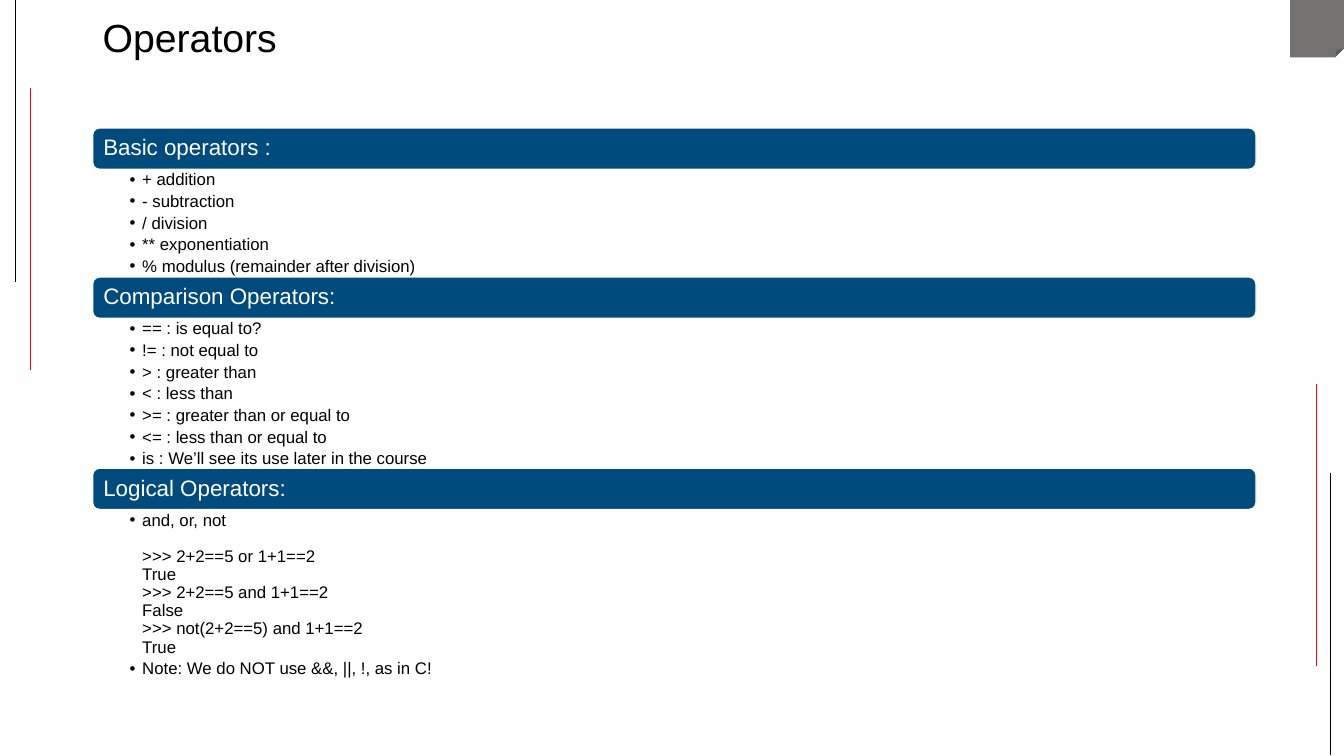
from dataclasses import dataclass
from typing import Any

from lxml.etree import SubElement as Sub
from pptx import Presentation
from pptx.dml.color import RGBColor as RGB
from pptx.enum.shapes import MSO_CONNECTOR as Link, MSO_SHAPE as Form
from pptx.enum.text import MSO_ANCHOR as Anchor, MSO_AUTO_SIZE as Fit, PP_ALIGN as Align
from pptx.oxml.ns import qn
from pptx.util import Pt

HUES = {"black": "000000", "red": "FF0000", "white": "FFFFFF", "navy": "004B7E", "gray": "767171"}
LEFT, WIDE, TOP, BAR = 66.2, 831, 91.4, 29.5
FRAME = {"word_wrap": True, "auto_size": Fit.NONE}
PARA = {"line_spacing": 0.9, "space_before": Pt(0), "alignment": Align.LEFT}
FONT = {"name": "Arial", "bold": False}


@dataclass
class Part:
    head: str
    slot: int
    high: float
    items: list[str]


@dataclass
class Rule:
    x: float
    start: float
    end: float
    hue: str


PARTS = [
    Part("Basic operators :", 2, 77, [
        "+ addition", "- subtraction", "/ division", "** exponentiation",
        "% modulus (remainder after division)"]),
    Part("Comparison Operators:", 3, 107, [
        "== : is equal to?", "!= : not equal to", "> : greater than", "< : less than",
        ">= : greater than or equal to", "<= : less than or equal to",
        "is : We’ll see its use later in the course"]),
    Part("Logical Operators:", 4, 120, [
        "\v".join(["and, or, not", "", ">>> 2+2==5 or 1+1==2", "True",
                   ">>> 2+2==5 and 1+1==2", "False",
                   ">>> not(2+2==5) and 1+1==2", "True"]),
        "Note: We do NOT use &&, ||, !, as in C!"]),
]
RULES = [
    Rule(11.2, 0, 201.6, "black"),
    Rule(21.6, 62.6, 264.2, "red"),
    Rule(950.4, 539.3, 337.7, "black"),
    Rule(940.3, 475.9, 274.3, "red"),
]


def tint(name: str) -> RGB:
    return RGB.from_string(HUES[name])


def apply(obj: Any, form: dict[str, Any]) -> None:
    for key, value in form.items():
        setattr(obj, key, value)


def place(shape: Any, x: float, y: float, w: float, h: float) -> None:
    apply(shape, {"left": Pt(x), "top": Pt(y), "width": Pt(w), "height": Pt(h)})


def write(shape: Any, lines: list[str], size: float, hue: str, after: float,
          anchor: Anchor, inset: tuple[float, float, float, float]) -> None:
    frame = shape.text_frame
    frame.text = lines[0]
    for line in lines[1:]:
        frame.add_paragraph().text = line
    sides = ("left", "top", "right", "bottom")
    edges = {f"margin_{side}": Pt(gap) for side, gap in zip(sides, inset)}
    apply(frame, FRAME | edges | {"vertical_anchor": anchor})
    for para in frame.paragraphs:
        apply(para, PARA | {"space_after": Pt(after)})
        for run in para.runs:
            apply(run.font, FONT | {"size": Pt(size)})
            run.font.color.rgb = tint(hue)
        # Line breaks keep the text size
        for gap in para._p.findall(qn("a:br")):
            Sub(gap, qn("a:rPr"), sz=str(int(size * 100)))


def dot(para: Any) -> None:
    para.level = 1
    props = para._p.get_or_add_pPr()
    props.set("marL", str(int(Pt(9))))
    props.set("indent", str(-int(Pt(9))))
    Sub(props, qn("a:buFont"), typeface="Arial")
    Sub(props, qn("a:buChar"), char="•")


def draw_shape(slide: Any, form: Form, box: tuple[float, float, float, float], hue: str) -> Any:
    shape = slide.shapes.add_shape(form, *map(Pt, box))
    shape.shadow.inherit = False
    shape.fill.solid()
    shape.fill.fore_color.rgb = tint(hue)
    return shape


def draw_rule(slide: Any, rule: Rule) -> None:
    line = slide.shapes.add_connector(
        Link.STRAIGHT, Pt(rule.x), Pt(rule.start), Pt(rule.x), Pt(rule.end))
    line.line.width = Pt(0.5)
    line.line.color.rgb = tint(rule.hue)
    Sub(line._element.spPr, qn("a:effectLst"))


def draw_part(slide: Any, part: Part, y: float) -> None:
    bar = draw_shape(slide, Form.ROUNDED_RECTANGLE, (LEFT, y, WIDE, BAR), "navy")
    bar.line.width = Pt(1)
    bar.line.color.rgb = tint("white")
    write(bar, [part.head], 16, "white", 0, Anchor.MIDDLE, (6.2, 5, 6.2, 5))
    body = slide.placeholders[part.slot]
    place(body, LEFT, y + BAR, WIDE, part.high)
    write(body, part.items, 12, "black", 2.5, Anchor.TOP, (26.4, 1.5, 8.6, 1.5))
    for para in body.text_frame.paragraphs:
        dot(para)


def main() -> None:
    deck = Presentation()
    apply(deck, {"slide_width": Pt(960), "slide_height": Pt(540)})
    # The comparison layout offers a body for each list
    slide = deck.slides.add_slide(deck.slide_layouts[4])
    spare = slide.placeholders[1]._element
    spare.getparent().remove(spare)

    # Page corner and margin rules
    fold = draw_shape(slide, Form.FOLDED_CORNER, (921.6, 0, 38.4, 41), "gray")
    fold.line.fill.background()
    for rule in RULES:
        draw_rule(slide, rule)

    # Title
    title = slide.shapes.title
    place(title, LEFT, 9.4, WIDE, 70.6)
    write(title, ["Operators"], 28, "black", 0, Anchor.TOP, (7.2, 3.6, 7.2, 3.6))

    # Stacked headings with their lists
    y = TOP
    for part in PARTS:
        draw_part(slide, part, y)
        y += BAR + part.high

    deck.save("out.pptx")


if __name__ == "__main__":
    main()
